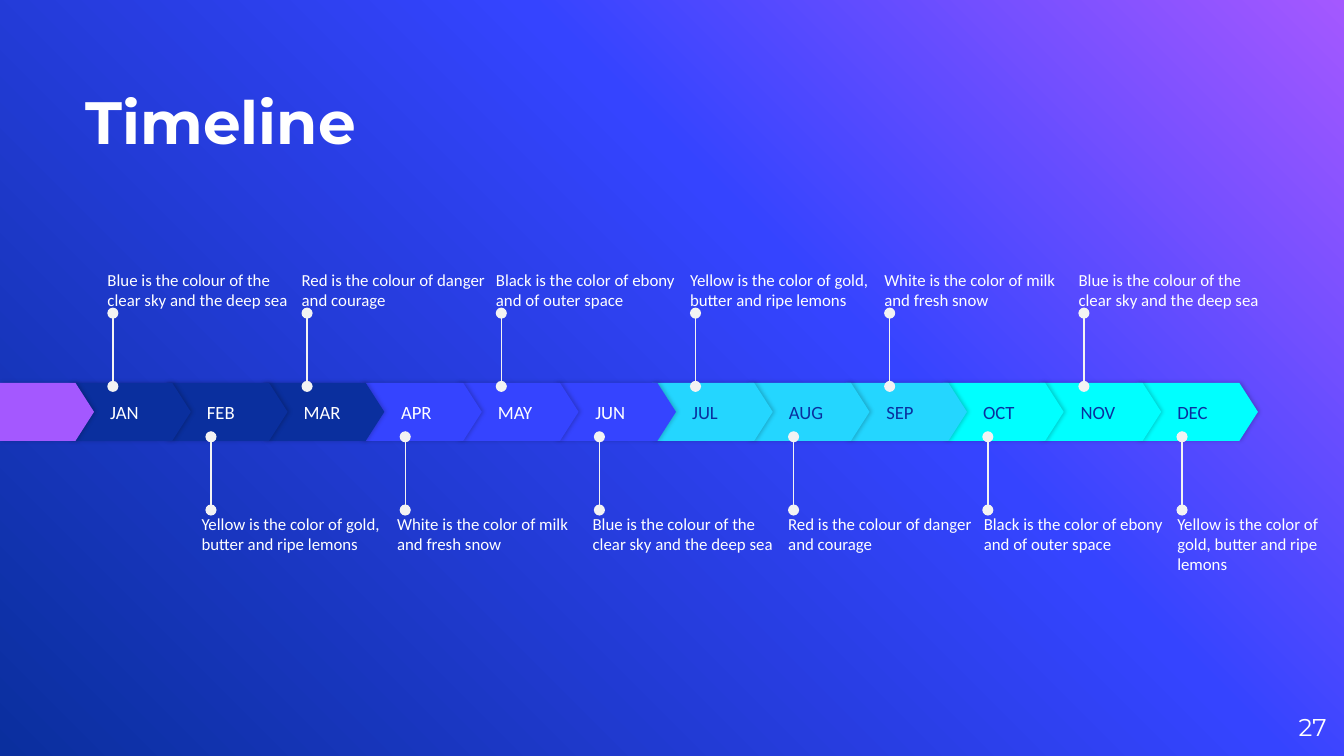
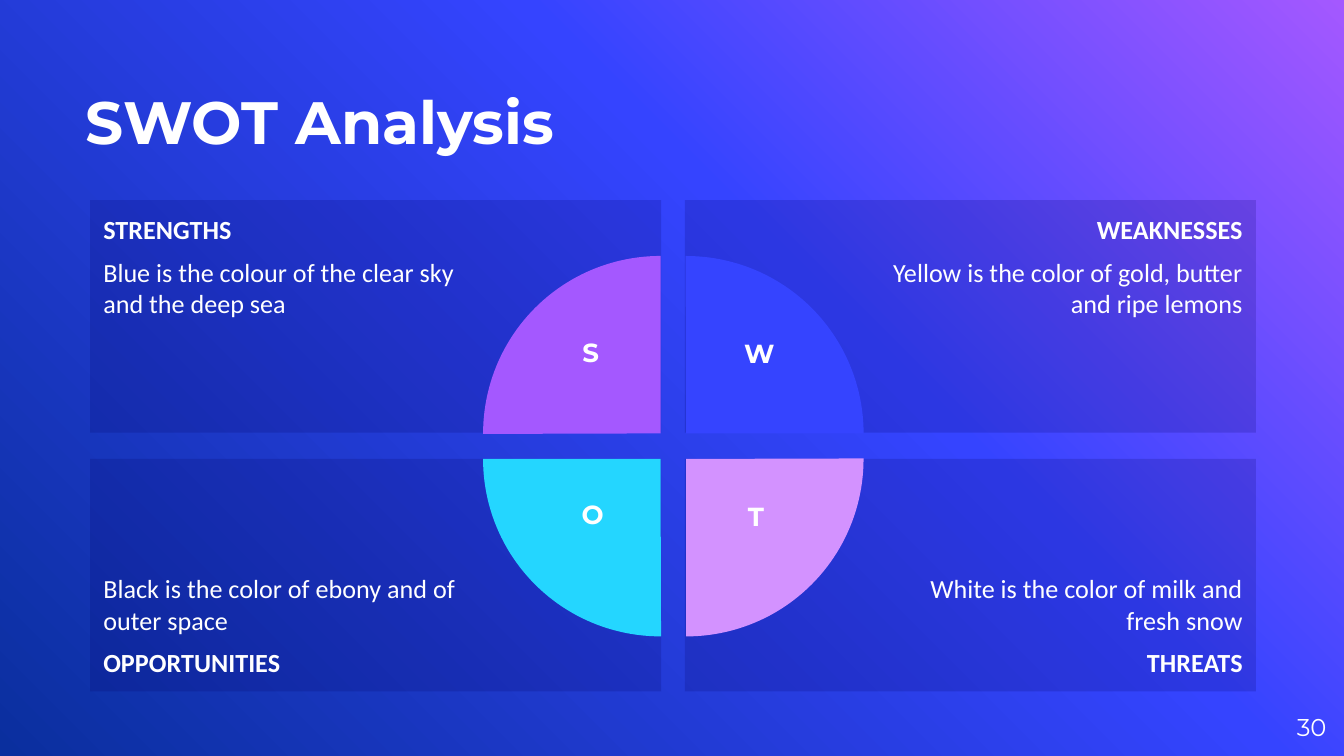
import pptx
import pptx.dml.color
import pptx.enum.shapes
import pptx.enum.text
import pptx.oxml
import pptx.oxml.ns
import pptx.util

SCALE = 4572  # EMU per px, 200 px to the inch
WIDE, HIGH = 2000, 1125
COLORS = {
    "white": "FFFFFF", "pin": "F3F3F3", "navy": "0A2F9E", "blue": "3544FF",
    "purple": "A458FF", "sky": "24D6FF", "cyan": "00FFFF", "pink": "D392FF",
    "panel": "050060", "black": "000000",
}
BODY, HEAD = "Calibri", "Montserrat"
SHAPE = pptx.enum.shapes.MSO_SHAPE
ALIGN = pptx.enum.text.PP_ALIGN
ANCHOR = pptx.enum.text.MSO_ANCHOR

MONTHS = ["JAN", "FEB", "MAR", "APR", "MAY", "JUN",
          "JUL", "AUG", "SEP", "OCT", "NOV", "DEC"]
QUARTERS = [("navy", "white"), ("blue", "white"), ("sky", "navy"), ("cyan", "navy")]
SEA = "Blue is the colour of the clear sky and the deep sea"
BLOOD = "Red is the colour of danger and courage"
SPACE = "Black is the color of ebony and of outer space"
GOLD = "Yellow is the color of gold, butter and ripe lemons"
MILK = "White is the color of milk and fresh snow"


def emu(*sizes):
    return [pptx.util.Emu(size * SCALE) for size in sizes]


def rgb(name):
    return pptx.dml.color.RGBColor.from_string(COLORS[name])


def node(tag, inner="", **attrs):
    """Make a DrawingML or PresentationML element."""
    pairs = " ".join(f'{key}="{value}"' for key, value in attrs.items())
    spaces = pptx.oxml.ns.nsdecls("a", "p")
    return pptx.oxml.parse_xml(f"<{tag} {spaces} {pairs}>{inner}</{tag}>")


def write(shape, text, font=BODY, size=14, color="white", bold=False,
          align=ALIGN.LEFT, anchor=ANCHOR.TOP, inset=(0, 0, 0, 0), gap=(0, 0)):
    """Add one paragraph; inset is left, top, right, bottom; gap is before, after."""
    frame = shape.text_frame
    frame.word_wrap = True
    frame.vertical_anchor = anchor
    (frame.margin_left, frame.margin_top,
     frame.margin_right, frame.margin_bottom) = emu(*inset)
    para = frame.add_paragraph() if frame.text else frame.paragraphs[0]
    para.alignment = align
    para.space_before, para.space_after = map(pptx.util.Pt, gap)
    run = para.add_run()
    run.text = text
    run.font.name = font
    run.font.size = pptx.util.Pt(size)
    run.font.bold = bold
    run.font.color.rgb = rgb(color)


def label(slide, box, text, **style):
    write(slide.shapes.add_textbox(*emu(*box)), text, **style)


def solid(slide, kind, box, color):
    shape = slide.shapes.add_shape(kind, *emu(*box))
    shape.shadow.inherit = False
    shape.fill.solid()
    shape.fill.fore_color.rgb = rgb(color)
    shape.line.fill.background()
    return shape


def base(deck, title, page):
    """Add a slide with the shared background, title and page number."""
    slide = deck.slides.add_slide(deck.slide_layouts[6])
    stops = "".join(
        f'<a:gs pos="{pos}000"><a:srgbClr val="{COLORS[name]}"/></a:gs>'
        for pos, name in [(0, "purple"), (39, "blue"), (100, "navy")])
    fill = (f'<a:gradFill rotWithShape="1"><a:gsLst>{stops}</a:gsLst>'
            f'<a:lin ang="{135 * 60000}" scaled="0"/></a:gradFill>')
    back = node("p:bg", f"<p:bgPr>{fill}<a:effectLst/></p:bgPr>")
    slide.element.cSld.insert(0, back)
    label(slide, (127, 46, 1316, 187), title, font=HEAD, size=32, bold=True,
          anchor=ANCHOR.BOTTOM)
    label(slide, (1854, 1038, 120, 87), page, font=HEAD, size=13,
          align=ALIGN.RIGHT, anchor=ANCHOR.MIDDLE)
    return slide


def arrow(slide, box, color):
    shape = solid(slide, SHAPE.PENTAGON, box, color)
    shape.adjustments[0] = 0.32
    tint = (f'<a:srgbClr val="{COLORS["black"]}">'
            '<a:alpha val="20000"/></a:srgbClr>')
    glow = node("a:outerShdw", tint, blurRad=pptx.util.Pt(2.2),
                dist=pptx.util.Pt(0.8), dir=0, algn="bl", rotWithShape=0)
    shape.element.spPr.find(pptx.oxml.ns.qn("a:effectLst")).append(glow)
    return shape


def band(slide, left, top):
    """Lay the months from last to first so each one overlaps the next."""
    for i in reversed(range(len(MONTHS))):
        fill, ink = QUARTERS[i // 3]
        shape = arrow(slide, (left + 104 + i * 1444 // 10, top, 180, 86), fill)
        write(shape, MONTHS[i], size=10, color=ink, anchor=ANCHOR.MIDDLE,
              inset=(60, 0, 0, 0))
    arrow(slide, (left, top, 140, 86), "purple")


def pin(slide, x, start, end):
    kind = pptx.enum.shapes.MSO_CONNECTOR.STRAIGHT
    line = slide.shapes.add_connector(kind, *emu(x, start, x, end))
    line.line.color.rgb = rgb("pin")
    line.line.width = pptx.util.Pt(0.75)
    edge = line.line._get_or_add_ln()
    for tag in ("a:headEnd", "a:tailEnd"):
        edge.append(node(tag, type="oval"))
    line.element.spPr.append(node("a:effectLst"))


def notes(slide, texts, stem, left, step, top, anchor):
    """Pin a row of notes; stem is first x, start y, end y."""
    x, start, end = stem
    for i, text in enumerate(texts):
        pin(slide, x + i * 289, start, end)
        place = min(left + i * step, WIDE - 248)
        width = min(274, WIDE - 22 - place)
        label(slide, (place, top, width, 116), text, size=9, anchor=anchor)


def months(deck):
    slide = base(deck, "Timeline", "27")
    band(slide, 0, 570)
    notes(slide, [SEA, BLOOD, SPACE, GOLD, MILK, SEA], (168, 575, 466),
          160, 289, 345, ANCHOR.BOTTOM)
    notes(slide, [GOLD, MILK, SEA, BLOOD, SPACE, GOLD], (314, 759, 650),
          300, 291, 764, ANCHOR.TOP)


def panel(slide, box, head, text, right, low):
    shape = solid(slide, SHAPE.RECTANGLE, box, "panel")
    tint = shape.fill._xPr.find(".//" + pptx.oxml.ns.qn("a:srgbClr"))
    tint.append(node("a:alpha", val=18000))
    style = {
        "align": ALIGN.RIGHT if right else ALIGN.LEFT,
        "anchor": ANCHOR.BOTTOM if low else ANCHOR.TOP,
        "inset": (300, 20, 20, 20) if right else (20, 20, 300, 20),
    }
    lines = [(head, True), (text, False)]
    for i, (words, bold) in enumerate(reversed(lines) if low else lines):
        write(shape, words, bold=bold, gap=(6, 6) if i else (0, 0), **style)


def wheel(slide, left, top):
    """Turn one quarter pie per corner, clockwise from the top left."""
    corners = [(0, 0, "purple"), (38, 0, "blue"), (38, 38, "pink"), (0, 38, "sky")]
    for i, (dx, dy, color) in enumerate(corners):
        wedge = solid(slide, SHAPE.PIE, (left + dx, top + dy, 528, 528), color)
        wedge.adjustments[0], wedge.adjustments[1] = 107.89, 162
        wedge.rotation = 90 * i
    marks = [("S", 122, 110, 76), ("W", 343, 111, 136),
             ("O", 114, 351, 98), ("T", 369, 354, 74)]
    for mark, dx, dy, width in marks:
        label(slide, (left + dx, top + dy, width, 101), mark, font=HEAD,
              bold=True, align=ALIGN.CENTER, inset=(20, 10, 20, 10))


def swot(deck):
    slide = base(deck, "SWOT Analysis", "30")
    parts = [("STRENGTHS", SEA), ("WEAKNESSES", GOLD),
             ("OPPORTUNITIES", SPACE), ("THREATS", MILK)]
    for i, (head, text) in enumerate(parts):
        row, col = divmod(i, 2)
        box = (134 + col * 885, 298 + row * 385, 850, 346)
        panel(slide, box, head, text, right=col, low=row)
    wheel(slide, 719, 381)


def main():
    deck = pptx.Presentation()
    deck.slide_width, deck.slide_height = emu(WIDE, HIGH)
    months(deck)
    swot(deck)
    deck.save("out.pptx")


if __name__ == "__main__":
    main()
